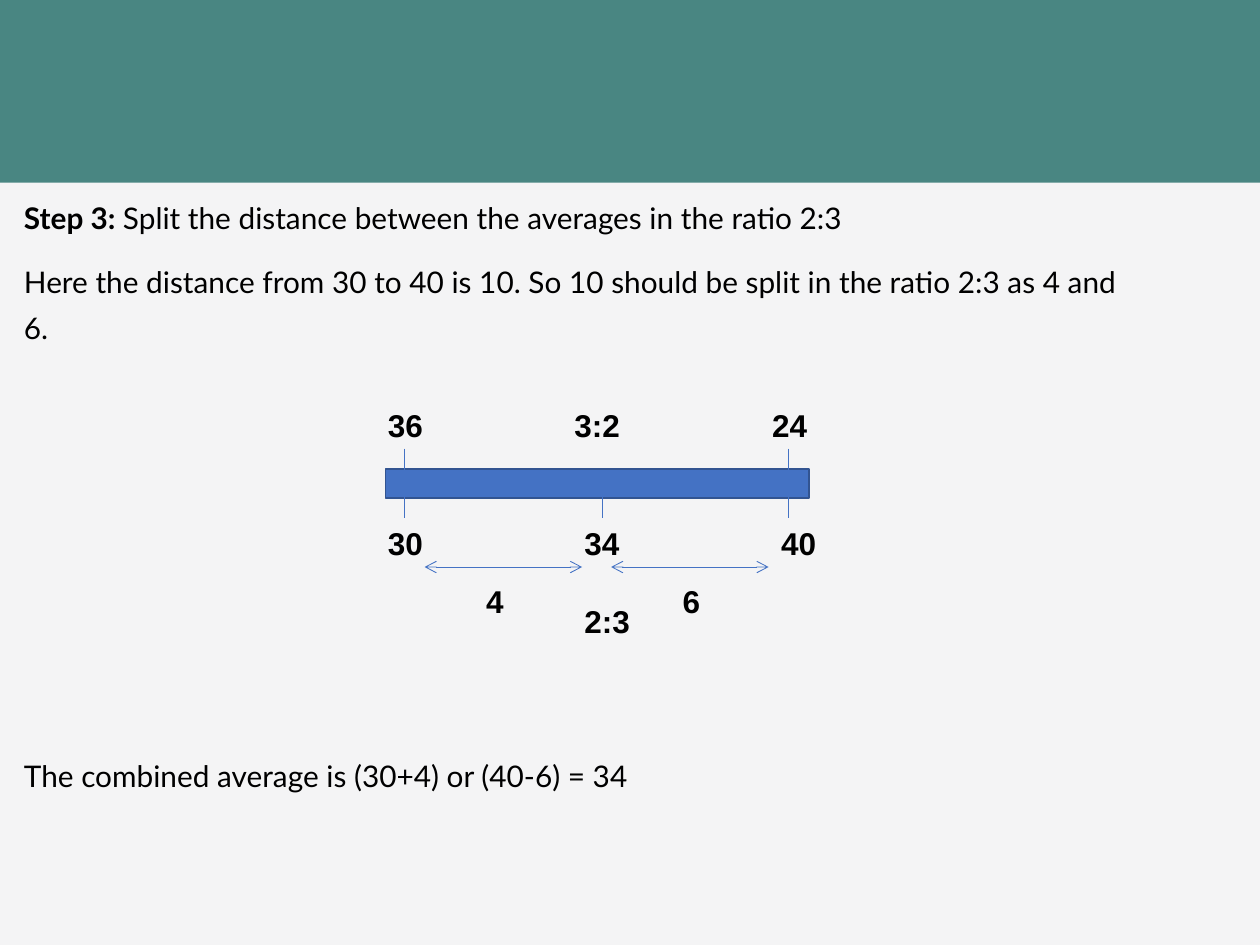
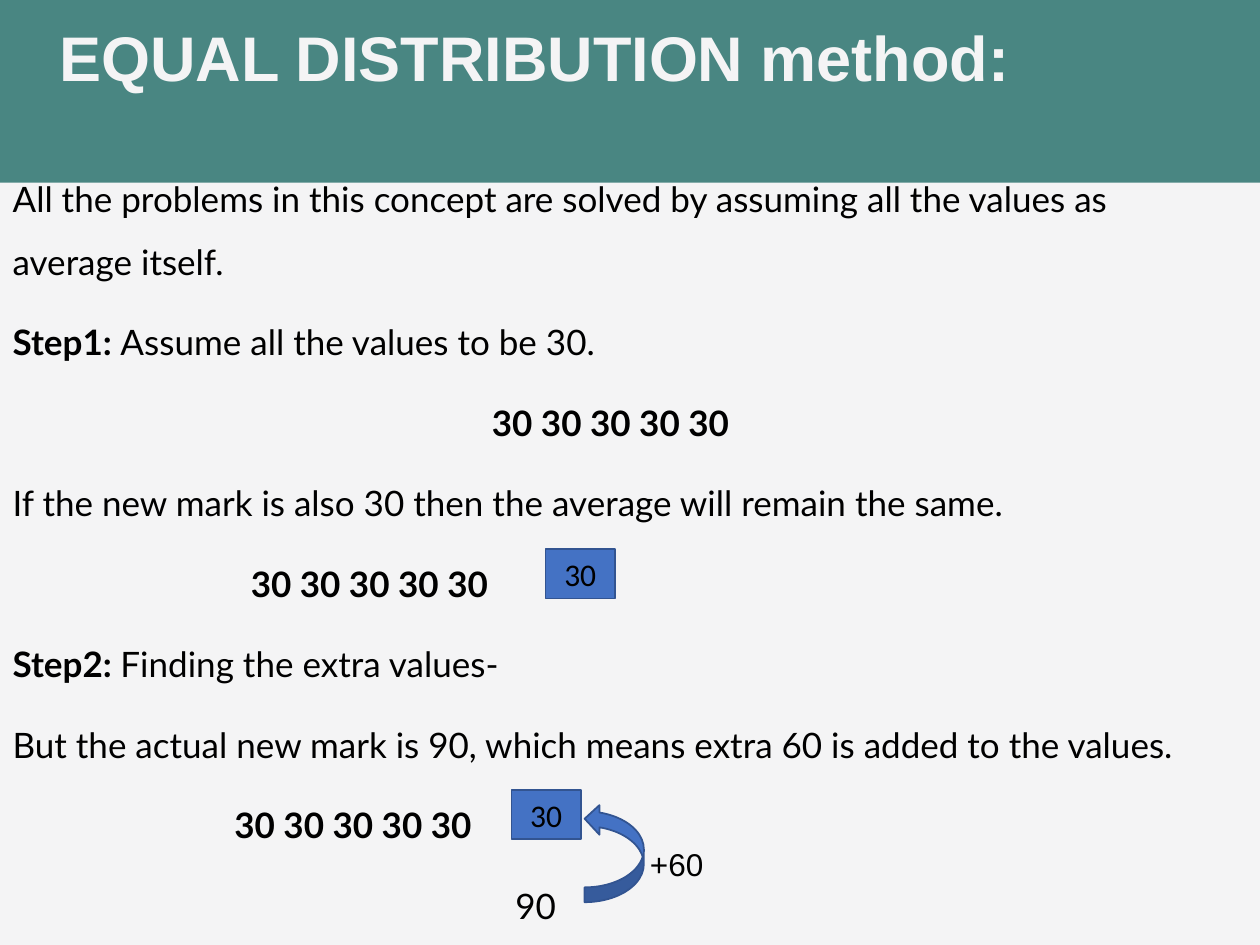
from lxml.etree import SubElement
from pptx import Presentation
from pptx.dml.color import RGBColor
from pptx.enum.shapes import MSO_CONNECTOR as Conn, MSO_SHAPE as Geo
from pptx.enum.text import MSO_ANCHOR as Anchor, MSO_AUTO_SIZE as Auto, PP_ALIGN as Align
from pptx.oxml.ns import qn
from pptx.util import Inches, Pt

# Shared style
TEAL = RGBColor(0x49, 0x86, 0x82)
PALE = RGBColor(0xF4, 0xF4, 0xF5)
BLUE = RGBColor(0x44, 0x72, 0xC4)
NAVY = RGBColor(0x32, 0x54, 0x91)
BLACK = RGBColor(0, 0, 0)
BAND = 1.45


def write(para, text, font="Arial", size=18, color=BLACK, bold=False):
    """Add one formatted run to a paragraph."""
    run = para.add_run()
    run.text = text
    run.font.name, run.font.size, run.font.bold = font, Pt(size), bold
    run.font.color.rgb = color


def place(shape, box):
    shape.left, shape.top, shape.width, shape.height = map(Inches, box)


class Deck:
    def __init__(self):
        self.prs = Presentation()
        self.prs.slide_width, self.prs.slide_height = Inches(10), Inches(7.5)
        self.slide = None

    def theme(self):
        """Put the background and the top band on the master."""
        master = self.prs.slide_master
        master.background.fill.solid()
        master.background.fill.fore_color.rgb = PALE
        band = self.shape(Geo.RECTANGLE, (0, 0, 10, BAND), TEAL, None)
        master.shapes._spTree.insert(2, band._element)

    def page(self):
        self.slide = self.prs.slides.add_slide(self.prs.slide_layouts[1])

    def title(self, text=None):
        head = self.slide.shapes.title
        if not text:
            head._element.getparent().remove(head._element)
            return
        place(head, (0.37, 0, 8.62, BAND))
        frame = head.text_frame
        frame.auto_size, frame.vertical_anchor = Auto.NONE, Anchor.TOP
        frame.margin_top = Inches(0.15)
        para = frame.paragraphs[0]
        para.alignment = Align.LEFT
        write(para, text, size=36, color=PALE, bold=True)

    def body(self, box, rows, size, space):
        """Fill the body; a row is (lead, text, options)."""
        hold = self.slide.placeholders[1]
        place(hold, box)
        frame = hold.text_frame
        frame.auto_size, frame.word_wrap = Auto.NONE, True
        frame.vertical_anchor = Anchor.TOP
        for i, (lead, text, opts) in enumerate(rows):
            para = frame.add_paragraph() if i else frame.paragraphs[0]
            props = para._p.get_or_add_pPr()
            props.set("marL", str(Inches(opts.get("indent", 0))))
            props.set("indent", "0")
            SubElement(props, qn("a:buNone"))
            para.alignment = opts.get("align", Align.LEFT)
            para.line_spacing = space
            para.space_before = Pt(opts.get("gap", 10) if i else 0)
            for part, bold in ((lead, True), (text, False)):
                if part:
                    write(para, part, font="Lato", size=size, bold=bold)

    def shape(self, kind, box, fill=BLUE, edge=NAVY, text=None):
        item = self.slide.shapes.add_shape(kind, *map(Inches, box))
        item.shadow.inherit = False
        item.fill.solid()
        item.fill.fore_color.rgb = fill
        if edge is None:
            item.line.fill.background()
        else:
            item.line.color.rgb, item.line.width = edge, Pt(1)
        if text:
            item.text_frame.vertical_anchor = Anchor.MIDDLE
            para = item.text_frame.paragraphs[0]
            para.alignment = Align.CENTER
            write(para, text, font="Calibri")
        return item

    def label(self, text, left, top, width, bold=True):
        box = self.slide.shapes.add_textbox(*map(Inches, (left, top, width, 0.4)))
        box.text_frame.word_wrap = False
        box.text_frame.auto_size = Auto.SHAPE_TO_FIT_TEXT
        write(box.text_frame.paragraphs[0], text, bold=bold)

    def line(self, x1, y1, x2, y2, arrows=False):
        item = self.slide.shapes.add_connector(
            Conn.STRAIGHT, *map(Inches, (x1, y1, x2, y2)))
        item.line.color.rgb, item.line.width = BLUE, Pt(0.5)
        if arrows:
            stroke = item.line._get_or_add_ln()
            for end in ("a:headEnd", "a:tailEnd"):
                SubElement(stroke, qn(end), type="arrow")
        SubElement(item._element.spPr, qn("a:effectLst"))


def split(deck):
    """Step 3: the distance split by ratio."""
    deck.title()
    deck.body((0.09, BAND, 8.91, 5.94), [
        ("Step 3: ", "Split the distance between the averages in the ratio 2:3", {}),
        ("", "Here the distance from 30 to 40 is 10. So 10 should be split "
             "in the ratio 2:3 as 4 and 6.", {}),
        ("", "The combined average is (30+4) or (40-6) = 34", {"gap": 229}),
    ], size=17, space=1.3)

    # Bar with its ticks
    deck.shape(Geo.FLOWCHART_PROCESS, (3.06, 3.72, 3.36, 0.23))
    for x, top in ((3.21, 3.56), (6.26, 3.56), (4.78, 3.79)):
        deck.line(x, top, x, 4.11)

    # Values above, below and between
    rows = {
        3.17: (("36", 2.98, 0.48), ("3:2", 4.46, 0.57), ("24", 6.03, 0.48)),
        4.11: (("30", 2.98, 0.48), ("34", 4.54, 0.48), ("40", 6.1, 0.48)),
        4.57: (("4", 3.76, 0.34), ("6", 5.32, 0.34)),
        4.73: (("2:3", 4.54, 0.57),),
    }
    for top, row in rows.items():
        for text, left, width in row:
            deck.label(text, left, top, width)

    # Spans
    for x in (3.37, 4.85):
        deck.line(x, 4.5, x + 1.25, 4.5, arrows=True)


def equal(deck):
    """Equal distribution method."""
    marks = "30 30 30 30 30"
    deck.title("EQUAL DISTRIBUTION method:")
    deck.body((0, 1.19, 9.76, 6.48), [
        ("", "All the problems in this concept are solved by assuming "
             "all the values as average itself.", {}),
        ("Step1: ", "Assume all the values to be 30.", {}),
        (marks + " ", "", {"align": Align.CENTER}),
        ("", "If the new mark is also 30 then the average will remain the same.", {}),
        (marks, "", {"indent": 1.89}),
        ("Step2: ", "Finding the extra values-", {}),
        ("", "But the actual new mark is 90, which means extra 60 is "
             "added to the values.", {}),
        (marks, "", {"indent": 1.76}),
        ("", "90", {"indent": 3.99}),
    ], size=20, space=1.5)

    # New mark boxes
    for left, top in ((4.33, 4.36), (4.06, 6.27)):
        deck.shape(Geo.FLOWCHART_PROCESS, (left, top, 0.55, 0.39), text="30")

    # Extra value arrow
    arrow = deck.shape(Geo.CURVED_RIGHT_ARROW, (4.64, 6.38, 0.47, 0.78))
    arrow.rotation = 180
    deck.label("+60", 5.06, 6.66, 0.7, bold=False)


def main():
    deck = Deck()
    deck.page()
    deck.theme()
    split(deck)
    deck.page()
    equal(deck)
    deck.prs.save("out.pptx")


if __name__ == "__main__":
    main()
